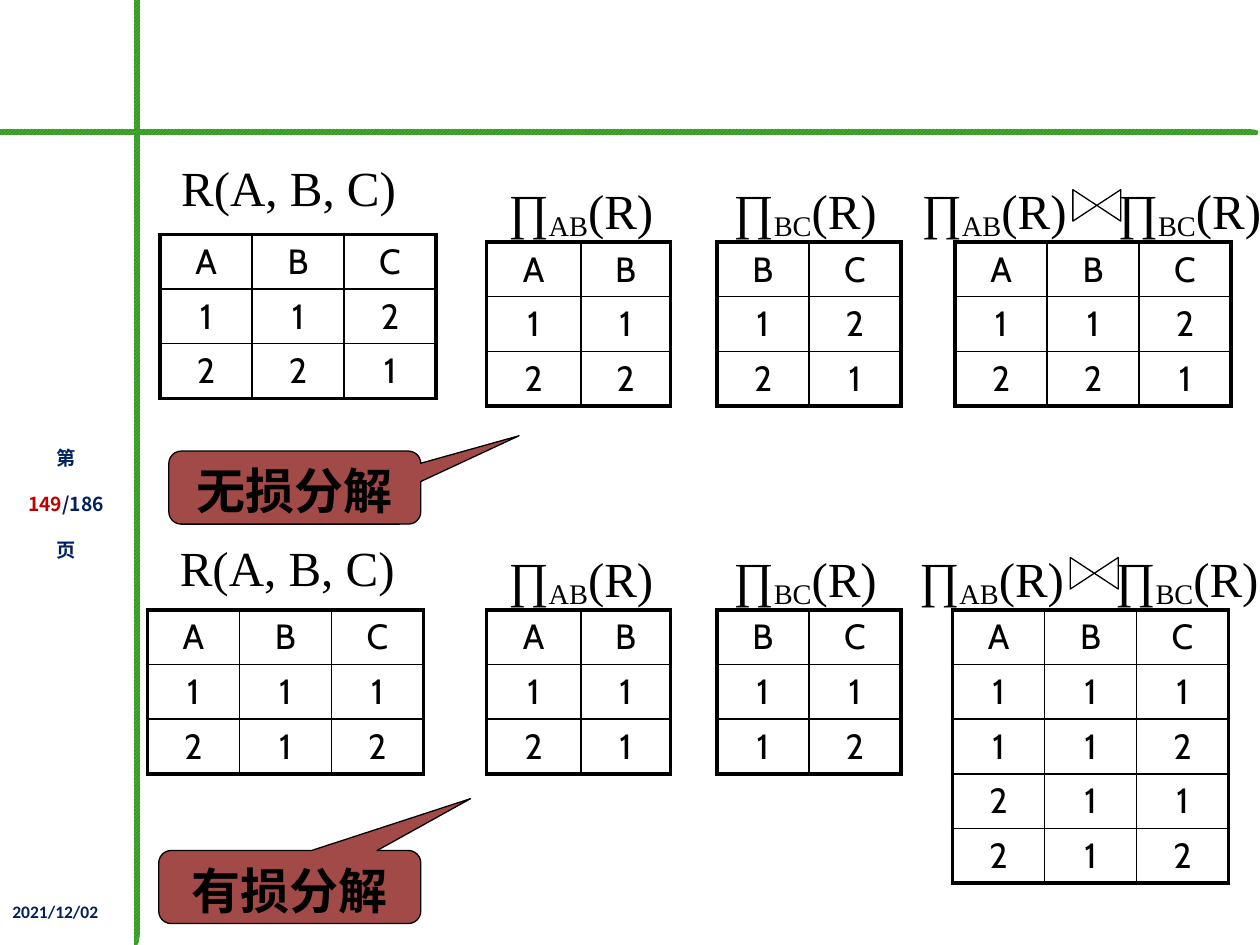
from lxml import etree
from pptx import Presentation
from pptx import util as u
from pptx.dml.color import RGBColor
from pptx.enum import dml, shapes, text
from pptx.oxml.ns import qn

BLACK = RGBColor(0, 0, 0)
NAVY = RGBColor(0x00, 0x20, 0x60)
RED = RGBColor(0xC0, 0x00, 0x00)
BRICK = RGBColor(0xA2, 0x4A, 0x48)
LIME = RGBColor(0x80, 0xCB, 0x35)
GREEN = RGBColor(0x32, 0x9A, 0x2A)

SERIF, CJK = "Times New Roman", "Noto Sans CJK SC"
COLUMN, ROW = 0.73, 0.43
OUTER, INNER = u.Pt(2.25), u.Pt(1)


class SlideWriter:
    def __init__(self, slide):
        self.slide = slide
        self.shapes = slide.shapes

    def style(self, paragraph, size, font, color=BLACK, bold=False,
              align=text.PP_ALIGN.CENTER):
        paragraph.alignment = align
        face = paragraph.font
        face.size, face.name, face.bold = u.Pt(size), font, bold
        face.color.rgb = color
        latin = paragraph._p.pPr.find(qn("a:defRPr")).find(qn("a:latin"))
        east_asian = etree.Element(qn("a:ea"), typeface=CJK)
        latin.addnext(east_asian)

    def box(self, left, top, width, height, inset=0.05):
        frame = self.shapes.add_textbox(*map(u.Inches, (left, top, width, height))).text_frame
        frame.word_wrap = True
        frame.margin_top = u.Inches(inset)
        return frame

    def heading(self, left, top, width, before, subscript="", after=""):
        paragraph = self.box(left, top, width, 0.67, inset=0.1).paragraphs[0]
        for part in filter(None, (before, subscript, after)):
            run = paragraph.add_run()
            run.text = part
            if part == subscript:
                run._r.get_or_add_rPr().set("baseline", "-16000")
        self.style(paragraph, 28, SERIF)

    def projection(self, left, top, attributes, width=2):
        self.heading(left, top, width, "∏", attributes, "(R)")

    def bar(self, points):
        (x, y), *rest = [tuple(map(u.Inches, point)) for point in points]
        builder = self.shapes.build_freeform(x, y)
        builder.add_line_segments(rest, close=True)
        bar = builder.convert_to_shape()
        bar.shadow.inherit = False
        bar.line.fill.background()
        bar.fill.patterned()
        bar.fill.pattern = dml.MSO_PATTERN.DARK_UPWARD_DIAGONAL
        bar.fill.fore_color.rgb, bar.fill.back_color.rgb = LIME, GREEN

    def preset(self, kind, left, top, width, height, fill=None):
        shape = self.shapes.add_shape(kind, *map(u.Inches, (left, top, width, height)))
        shape.shadow.inherit = False
        if fill is None:
            shape.fill.background()
        else:
            shape.fill.solid()
            shape.fill.fore_color.rgb = fill
        shape.line.color.rgb = BLACK
        shape.line.width = u.Pt(0.75)
        return shape

    def join_sign(self, left, top):
        sign = self.preset(shapes.MSO_SHAPE.FLOWCHART_COLLATE, left, top, 0.25, 0.38)
        sign.rotation = 90

    def callout(self, left, top, width, tip, label):
        shape = self.preset(shapes.MSO_SHAPE.ROUNDED_RECTANGULAR_CALLOUT,
                            left, top, width, 0.58, BRICK)
        for index, value in enumerate((*tip, 0.17)):
            shape.adjustments[index] = value
        frame = shape.text_frame
        frame.vertical_anchor = text.MSO_ANCHOR.TOP
        frame.text = label
        self.style(frame.paragraphs[0], 28, SERIF, bold=True)

    def relation(self, left, top, rows, widths=None):
        """Draw a table from strings holding one character per cell."""
        widths = widths or [COLUMN] * len(rows[0])
        table = self.shapes.add_table(
            len(rows), len(widths), u.Inches(left), u.Inches(top),
            u.Inches(sum(widths)), u.Inches(ROW * len(rows))).table
        table.first_row = table.horz_banding = False
        for column, width in zip(table.columns, widths):
            column.width = u.Inches(width)
        for i, row in enumerate(rows):
            table.rows[i].height = u.Inches(ROW)
            for j, value in enumerate(row):
                cell = table.cell(i, j)
                cell.text = value
                cell.fill.background()
                self.style(cell.text_frame.paragraphs[0], 20, "Cabin")
                self.borders(cell, lnL=j == 0, lnR=j == len(row) - 1,
                             lnT=i == 0, lnB=i == len(rows) - 1)

    def borders(self, cell, **outer_edges):
        properties = cell._tc.get_or_add_tcPr()
        for position, (edge, is_outer) in enumerate(outer_edges.items()):
            line = etree.Element(qn("a:" + edge), w=str(OUTER if is_outer else INNER))
            fill = etree.SubElement(line, qn("a:solidFill"))
            etree.SubElement(fill, qn("a:srgbClr"), val=str(BLACK))
            properties.insert(position, line)

    def page_number(self, current, total):
        frame = self.box(0, 2.96, 1.05, 1.89)
        frame.vertical_anchor = text.MSO_ANCHOR.MIDDLE
        lines = ([("第", NAVY)], [(current, RED), ("/" + total, NAVY)], [("页", NAVY)])
        for index, parts in enumerate(lines):
            paragraph = frame.add_paragraph() if index else frame.paragraphs[0]
            paragraph.line_spacing = u.Pt(26.3)
            for part, color in parts:
                run = paragraph.add_run()
                run.text = part
                run.font.color.rgb = color
            self.style(paragraph, 11, CJK, NAVY, bold=True)

    def date(self, value):
        frame = self.box(0, 7.1, 1.08, 0.4)
        frame.text = value
        self.style(frame.paragraphs[0], 10, "Calibri", NAVY, True, text.PP_ALIGN.LEFT)

    def decomposition(self, top, ab, bc, join_left, joined):
        """Draw both projections of R and their natural join."""
        heading_top = top - 0.59
        self.relation(3.86, top, ab, [0.75, 0.71])
        self.relation(5.69, top, bc)
        self.relation(join_left, top, joined)
        self.projection(3.61, heading_top, "AB")
        self.projection(5.39, heading_top, "BC")
        self.projection(join_left - 0.69, heading_top, "AB")
        self.projection(join_left + 1.16, heading_top, "BC", width=1.4)
        self.join_sign(join_left + 1, top - 0.48)


def main():
    deck = Presentation()
    deck.slide_width, deck.slide_height = u.Inches(10), u.Inches(7.5)
    writer = SlideWriter(deck.slides.add_slide(deck.slide_layouts[6]))

    writer.bar([(0, 1.02), (9.89, 1.02), (9.96, 1.03), (9.99, 1.04), (9.98, 1.07), (0, 1.07)])
    writer.bar([(1.11, 0), (1.11, 7.42), (1.1, 7.48), (1.09, 7.5), (1.06, 7.5), (1.06, 0)])
    writer.page_number("149", "186")

    writer.heading(1.24, 1.15, 2.1, "R(A, B, C)")
    lossless = ["ABC", "112", "221"]
    writer.relation(1.27, 1.86, lossless)
    writer.decomposition(1.92, ["AB", "11", "22"], ["BC", "12", "21"], 7.58, lossless)

    writer.heading(1.28, 4.17, 2, "R(A, B, C)")
    writer.relation(1.17, 4.84, ["ABC", "111", "212"])
    writer.decomposition(4.84, ["AB", "11", "21"], ["BC", "11", "12"], 7.56,
                         ["ABC", "111", "112", "211", "212"])

    writer.callout(1.26, 6.75, 2.08, (0.69, -1.21), "有损分解")
    writer.callout(1.34, 3.58, 2, (0.89, -0.71), "无损分解")
    writer.date("2021/12/02")
    deck.save("out.pptx")


if __name__ == "__main__":
    main()
